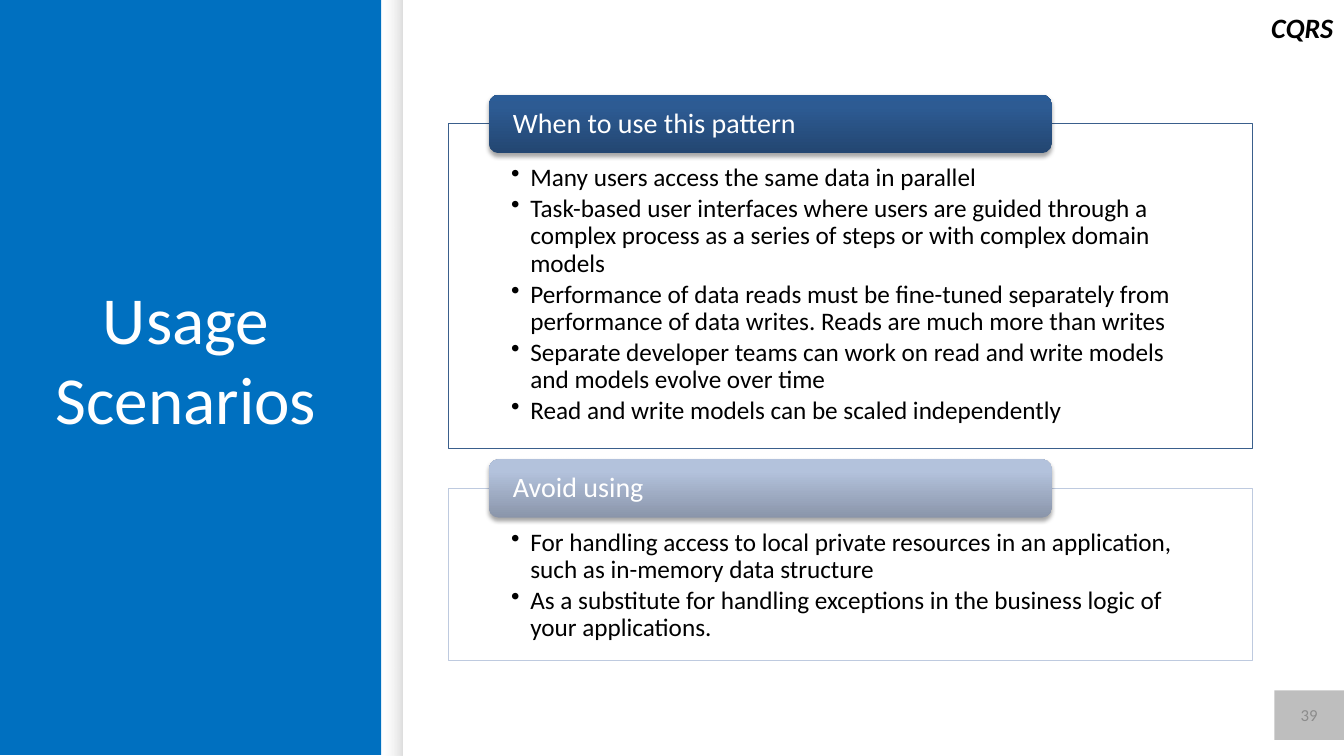
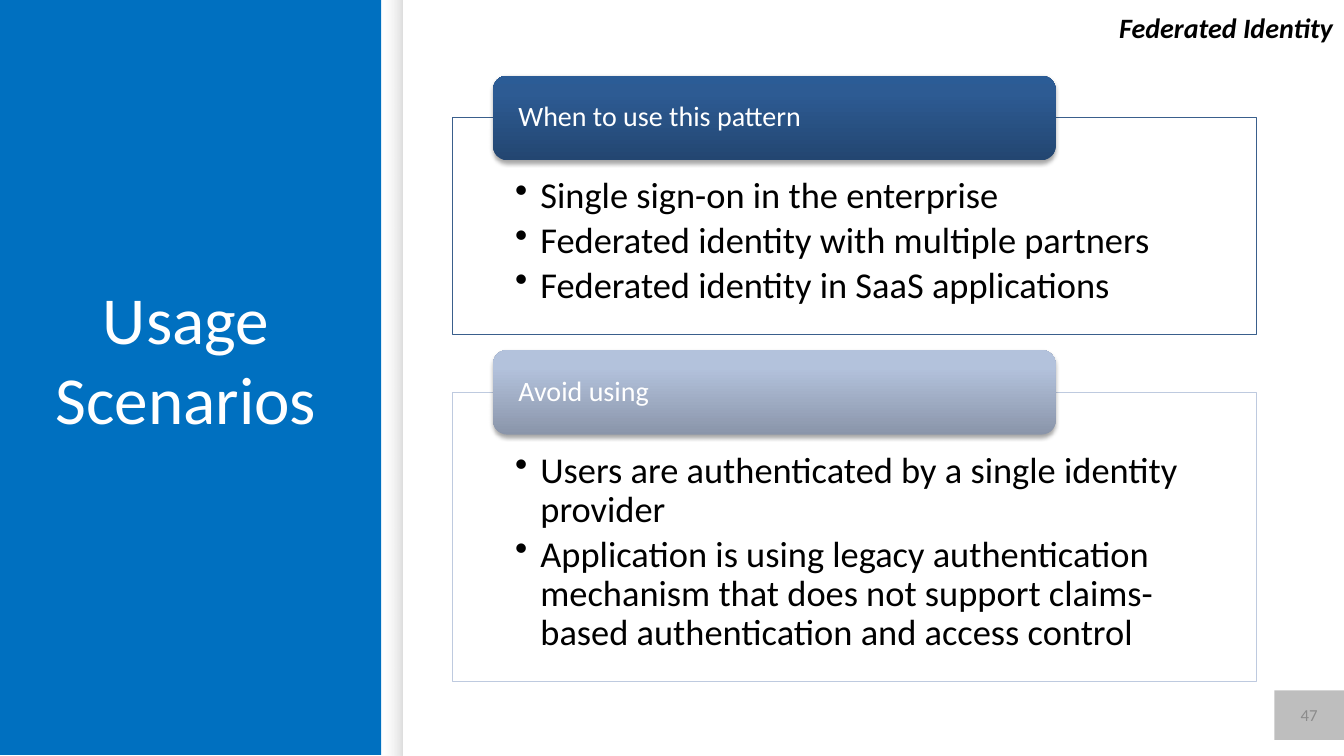
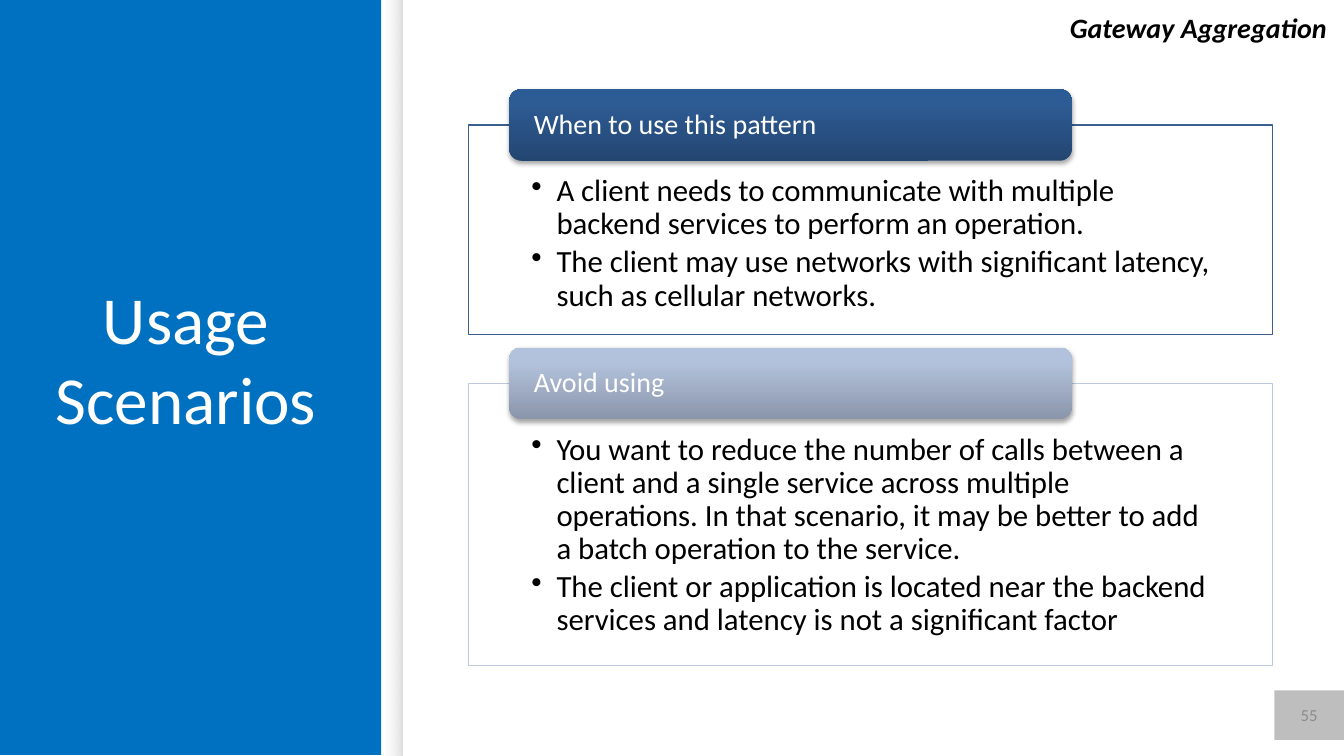
from dataclasses import dataclass

from lxml import etree
from pptx import Presentation
from pptx.dml.color import RGBColor
from pptx.enum import shapes, text
from pptx.oxml import ns
from pptx.util import Inches, Pt


@dataclass(frozen=True)
class Stop:
    percent: int
    color: str
    alpha: int = 100


@dataclass(frozen=True)
class Tone:
    outline: str
    header: tuple[Stop, ...]


@dataclass(frozen=True)
class Theme:
    font: str = "Calibri"
    blue: str = "0070C0"
    white: str = "FFFFFF"
    black: str = "000000"
    badge: str = "7F7F7F"
    page: str = "8C8C8C"
    edge: tuple[Stop, ...] = (
        Stop(0, "000000", 13), Stop(48, "E3E3E3", 0), Stop(66, "FFFFFF", 0))
    strong: Tone = Tone("3A5F8C", (
        Stop(0, "234671"), Stop(80, "2D5B93"), Stop(100, "2B5C96")))
    pale: Tone = Tone("BECADF", (
        Stop(0, "8A95AA"), Stop(80, "B3C2DC"), Stop(100, "B4C3DE")))
    title_size: int = 48
    label_size: int = 20
    page_size: int = 12


@dataclass(frozen=True)
class Panel:
    heading: str
    tone: Tone
    height: float
    points: tuple[str, ...]


@dataclass(frozen=True)
class Scenario:
    pattern: str
    page: str
    left: float
    top: float
    size: int
    indent: float
    panels: tuple[Panel, ...]


THEME = Theme()
USE = "When to use this pattern"
AVOID = "Avoid using"
PANEL_WIDTH = 7.97
HEADER_WIDTH = 5.58
HEADER_OFFSET = 0.4

SCENARIOS = (
    Scenario("CQRS", "39", 4.45, 1.23, 18, 0.19, (
        Panel(USE, THEME.strong, 3.22, (
            "Many users access the same data in parallel",
            "Task-based user interfaces where users are guided through a complex "
            "process as a series of steps or with complex domain models",
            "Performance of data reads must be fine-tuned separately from "
            "performance of data writes. Reads are much more than writes",
            "Separate developer teams can work on read and write models and "
            "models evolve over time",
            "Read and write models can be scaled independently")),
        Panel(AVOID, THEME.pale, 1.71, (
            "For handling access to local private resources in an application, "
            "such as in-memory data structure",
            "As a substitute for handling exceptions in the business logic of "
            "your applications.")))),
    Scenario("Federated Identity", "47", 4.49, 1.17, 26, 0.25, (
        Panel(USE, THEME.strong, 2.15, (
            "Single sign-on in the enterprise",
            "Federated identity with multiple partners",
            "Federated identity in SaaS applications")),
        Panel(AVOID, THEME.pale, 2.87, (
            "Users are authenticated by a single identity provider",
            "Application is using legacy authentication mechanism that does not "
            "support claims- based authentication and access control")))),
    Scenario("Gateway Aggregation ", "55", 4.65, 1.24, 22, 0.25, (
        Panel(USE, THEME.strong, 2.08, (
            "A client needs to communicate with multiple backend services to "
            "perform an operation.",
            "The client may use networks with significant latency, such as "
            "cellular networks.")),
        Panel(AVOID, THEME.pale, 2.8, (
            "You want to reduce the number of calls between a client and a single "
            "service across multiple operations. In that scenario, it may be "
            "better to add a batch operation to the service.",
            "The client or application is located near the backend services and "
            "latency is not a significant factor")))),
)


def child(parent, tag: str, **attributes):
    return etree.SubElement(
        parent, ns.qn(tag), {key: str(value) for key, value in attributes.items()})


def add_block(slide, left: float, top: float, width: float, height: float,
              kind=shapes.MSO_SHAPE.RECTANGLE):
    block = slide.shapes.add_shape(
        kind, Inches(left), Inches(top), Inches(width), Inches(height))
    block.shadow.inherit = False
    block.line.fill.background()
    return block


def fill_solid(block, color: str, alpha: int = 100) -> None:
    block.fill.solid()
    block.fill.fore_color.rgb = RGBColor.from_string(color)
    if alpha < 100:
        tint = block.element.spPr.find(ns.qn("a:solidFill"))[0]
        child(tint, "a:alpha", val=alpha * 1000)


def fill_gradient(block, stops: tuple[Stop, ...], angle: int) -> None:
    block.fill.gradient()
    block.fill.gradient_angle = angle
    stop_list = block.element.spPr.find(ns.qn("a:gradFill")).find(ns.qn("a:gsLst"))
    for default in list(stop_list):
        stop_list.remove(default)
    for stop in stops:
        entry = child(stop_list, "a:gs", pos=stop.percent * 1000)
        tint = child(entry, "a:srgbClr", val=stop.color)
        if stop.alpha < 100:
            child(tint, "a:alpha", val=stop.alpha * 1000)


def cast_shadow(block) -> None:
    effects = block.element.spPr.find(ns.qn("a:effectLst"))
    shadow = child(effects, "a:outerShdw", blurRad=Pt(3.1), dist=Pt(1.8),
                   dir=5400000, rotWithShape=0)
    child(child(shadow, "a:srgbClr", val=THEME.black), "a:alpha", val=35000)


def set_frame(block, anchor, left: float = 0.1, top: float = 0.05,
              right: float = 0.1, bottom: float = 0.05):
    frame = block.text_frame
    frame.word_wrap = True
    frame.vertical_anchor = anchor
    frame.margin_left, frame.margin_right = Inches(left), Inches(right)
    frame.margin_top, frame.margin_bottom = Inches(top), Inches(bottom)
    return frame


def write(paragraph, words: str, size: int, color: str, align,
          emphasis: bool = False) -> None:
    paragraph.alignment = align
    run = paragraph.add_run()
    run.text = words
    run.font.name = THEME.font
    run.font.size = Pt(size)
    run.font.color.rgb = RGBColor.from_string(color)
    run.font.bold = run.font.italic = emphasis


def add_label(slide, left: float, top: float, width: float, height: float,
              words: str, size: int, color: str, align, emphasis: bool = False) -> None:
    label = slide.shapes.add_textbox(
        Inches(left), Inches(top), Inches(width), Inches(height))
    frame = set_frame(label, text.MSO_ANCHOR.TOP)
    write(frame.paragraphs[0], words, size, color, align, emphasis)


def add_bullet(paragraph, words: str, size: int, indent: float) -> None:
    write(paragraph, words, size, THEME.black, text.PP_ALIGN.LEFT)
    paragraph.line_spacing = 0.9
    paragraph.space_after = Pt(0.15 * size)
    properties = paragraph._p.get_or_add_pPr()
    properties.set("marL", str(Inches(indent)))
    properties.set("indent", str(-Inches(indent)))
    child(properties, "a:buChar", char="•")


def add_panel(slide, panel: Panel, scenario: Scenario, top: float) -> None:
    header_height = round(scenario.size * 0.0323, 2)
    body = add_block(slide, scenario.left, top, PANEL_WIDTH, panel.height)
    fill_solid(body, THEME.white, 90)
    body.line.color.rgb = RGBColor.from_string(panel.tone.outline)
    body.line.width = Pt(0.75)
    frame = set_frame(body, text.MSO_ANCHOR.TOP, 0.62, header_height * 0.7,
                      0.62, scenario.size / 128)
    for index, point in enumerate(panel.points):
        paragraph = frame.add_paragraph() if index else frame.paragraphs[0]
        add_bullet(paragraph, point, scenario.size, scenario.indent)

    header = add_block(slide, scenario.left + HEADER_OFFSET, top - header_height / 2,
                       HEADER_WIDTH, header_height,
                       shapes.MSO_SHAPE.ROUNDED_RECTANGLE)
    fill_gradient(header, panel.tone.header, 90)
    cast_shadow(header)
    heading = set_frame(header, text.MSO_ANCHOR.MIDDLE, 0.21, 0, 0.21, 0).paragraphs[0]
    heading.line_spacing = 0.9
    write(heading, panel.heading, THEME.label_size, THEME.white, text.PP_ALIGN.LEFT)


def add_backdrop(slide, page: str) -> None:
    fill_solid(add_block(slide, 0, 0, 3.78, 7.49), THEME.blue)
    fill_gradient(add_block(slide, 3.57, 0, 0.42, 7.5), THEME.edge, 180)
    badge = add_block(slide, 12.64, 6.85, 0.69, 0.49)
    fill_solid(badge, THEME.badge, 50)
    write(set_frame(badge, text.MSO_ANCHOR.MIDDLE).paragraphs[0], page,
          THEME.page_size, THEME.page, text.PP_ALIGN.CENTER)
    add_label(slide, 0.29, 2.7, 3.11, 2.14, "Usage Scenarios", THEME.title_size,
              THEME.white, text.PP_ALIGN.CENTER)


def add_scenario(deck, scenario: Scenario) -> None:
    slide = deck.slides.add_slide(deck.slide_layouts[6])
    add_backdrop(slide, scenario.page)
    top = scenario.top
    for panel in scenario.panels:
        add_panel(slide, panel, scenario, top)
        top += panel.height + scenario.size * 0.022
    add_label(slide, 10.34, 0.06, 2.98, 0.44, scenario.pattern, THEME.label_size,
              THEME.black, text.PP_ALIGN.RIGHT, True)


def main() -> None:
    deck = Presentation()
    deck.slide_width, deck.slide_height = Inches(13.33), Inches(7.5)
    for scenario in SCENARIOS:
        add_scenario(deck, scenario)
    deck.save("out.pptx")


if __name__ == "__main__":
    main()
